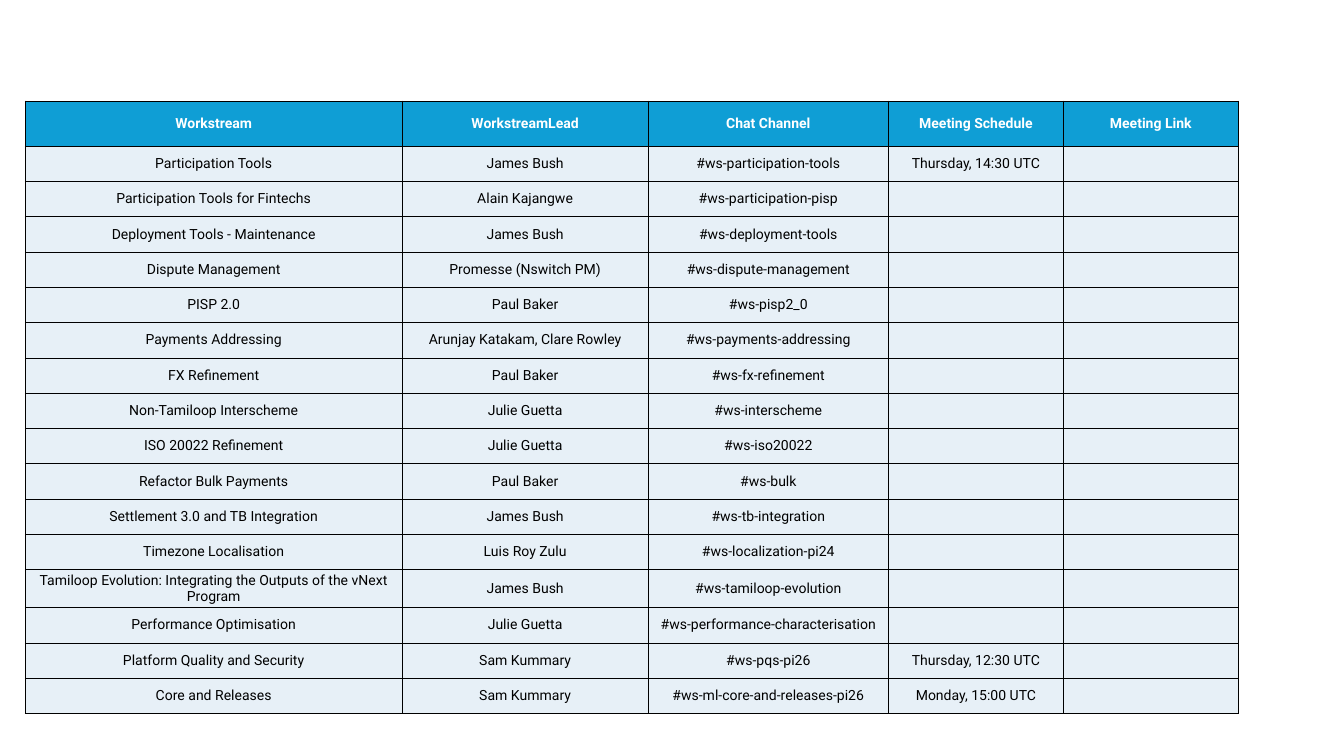
import lxml.etree
import pptx
import pptx.dml.color
import pptx.enum.text
import pptx.oxml.ns
import pptx.util

Pt = pptx.util.Pt
qn = pptx.oxml.ns.qn

HUES = {"head": "0F9ED5", "body": "E7F0F7", "light": "FFFFFF", "dark": "000000"}
WIDTHS = [538.56, 351.36, 343.44, 249.84, 249.84]
TALL, LOW = 64.8, 50.4
TITLES = ["Workstream", "WorkstreamLead", "Chat Channel", "Meeting Schedule", "Meeting Link"]
STREAMS = [
    ["Participation Tools", "James Bush", "#ws-participation-tools", "Thursday, 14:30 UTC"],
    ["Participation Tools for Fintechs", "Alain Kajangwe", "#ws-participation-pisp"],
    ["Deployment Tools - Maintenance", "James Bush", "#ws-deployment-tools"],
    ["Dispute Management", "Promesse (Nswitch PM)", "#ws-dispute-management"],
    ["PISP 2.0", "Paul Baker", "#ws-pisp2_0"],
    ["Payments Addressing", "Arunjay Katakam, Clare Rowley", "#ws-payments-addressing"],
    ["FX Refinement", "Paul Baker", "#ws-fx-refinement"],
    ["Non-Tamiloop Interscheme", "Julie Guetta", "#ws-interscheme"],
    ["ISO 20022 Refinement", "Julie Guetta", "#ws-iso20022"],
    ["Refactor Bulk Payments", "Paul Baker", "#ws-bulk"],
    ["Settlement 3.0 and TB Integration", "James Bush", "#ws-tb-integration"],
    ["Timezone Localisation", "Luis Roy Zulu", "#ws-localization-pi24"],
    ["Tamiloop Evolution: Integrating the Outputs of the vNext Program",
     "James Bush", "#ws-tamiloop-evolution"],
    ["Performance Optimisation", "Julie Guetta", "#ws-performance-characterisation"],
    ["Platform Quality and Security", "Sam Kummary", "#ws-pqs-pi26", "Thursday, 12:30 UTC"],
    ["Core and Releases", "Sam Kummary", "#ws-ml-core-and-releases-pi26", "Monday, 15:00 UTC"],
]
CELL = {
    "vertical_anchor": pptx.enum.text.MSO_ANCHOR.MIDDLE,
    "margin_left": Pt(7.2),
    "margin_right": Pt(7.2),
    "margin_top": Pt(3.6),
    "margin_bottom": Pt(3.6),
}
FONT = {"name": "Roboto", "size": Pt(20)}
PLAIN = {"first_row": False, "horz_banding": False}


def apply(item, values):
    for key, value in values.items():
        setattr(item, key, value)


def tint(hue):
    return pptx.dml.color.RGBColor.from_string(HUES[hue])


def border(cell):
    props = cell._tc.get_or_add_tcPr()
    for side in ("a:lnL", "a:lnR", "a:lnT", "a:lnB"):
        line = lxml.etree.SubElement(props, qn(side), w=str(Pt(1)))
        fill = lxml.etree.SubElement(line, qn("a:solidFill"))
        lxml.etree.SubElement(fill, qn("a:srgbClr"), val=HUES["dark"])


def write(cell, text, back, ink, bold):
    border(cell)
    cell.fill.solid()
    cell.fill.fore_color.rgb = tint(back)
    apply(cell, CELL)
    if text:
        para = cell.text_frame.paragraphs[0]
        para.alignment = pptx.enum.text.PP_ALIGN.CENTER
        run = para.add_run()
        run.text = text
        apply(run.font, {**FONT, "bold": bold})
        run.font.color.rgb = tint(ink)


def roster(slide, left, top, width, height):
    rows = [TITLES, *STREAMS]
    frame = slide.shapes.add_table(
        len(rows), len(WIDTHS), Pt(left), Pt(top), Pt(width), Pt(height))
    table = frame.table
    apply(table, PLAIN)
    for column, wide in zip(table.columns, WIDTHS):
        column.width = Pt(wide * width / sum(WIDTHS))
    for index, texts in enumerate(rows):
        head = index == 0
        table.rows[index].height = Pt(TALL if head else LOW)
        style = ("head", "light", True) if head else ("body", "dark", False)
        for place in range(len(WIDTHS)):
            text = texts[place] if place < len(texts) else ""
            write(table.cell(index, place), text, *style)


def main():
    deck = pptx.Presentation()
    apply(deck, {"slide_width": Pt(1920), "slide_height": Pt(1080)})
    slide = deck.slides.add_slide(deck.slide_layouts[6])
    roster(slide, 36, 144, sum(WIDTHS), TALL + LOW * len(STREAMS))
    deck.save("out.pptx")


if __name__ == "__main__":
    main()
